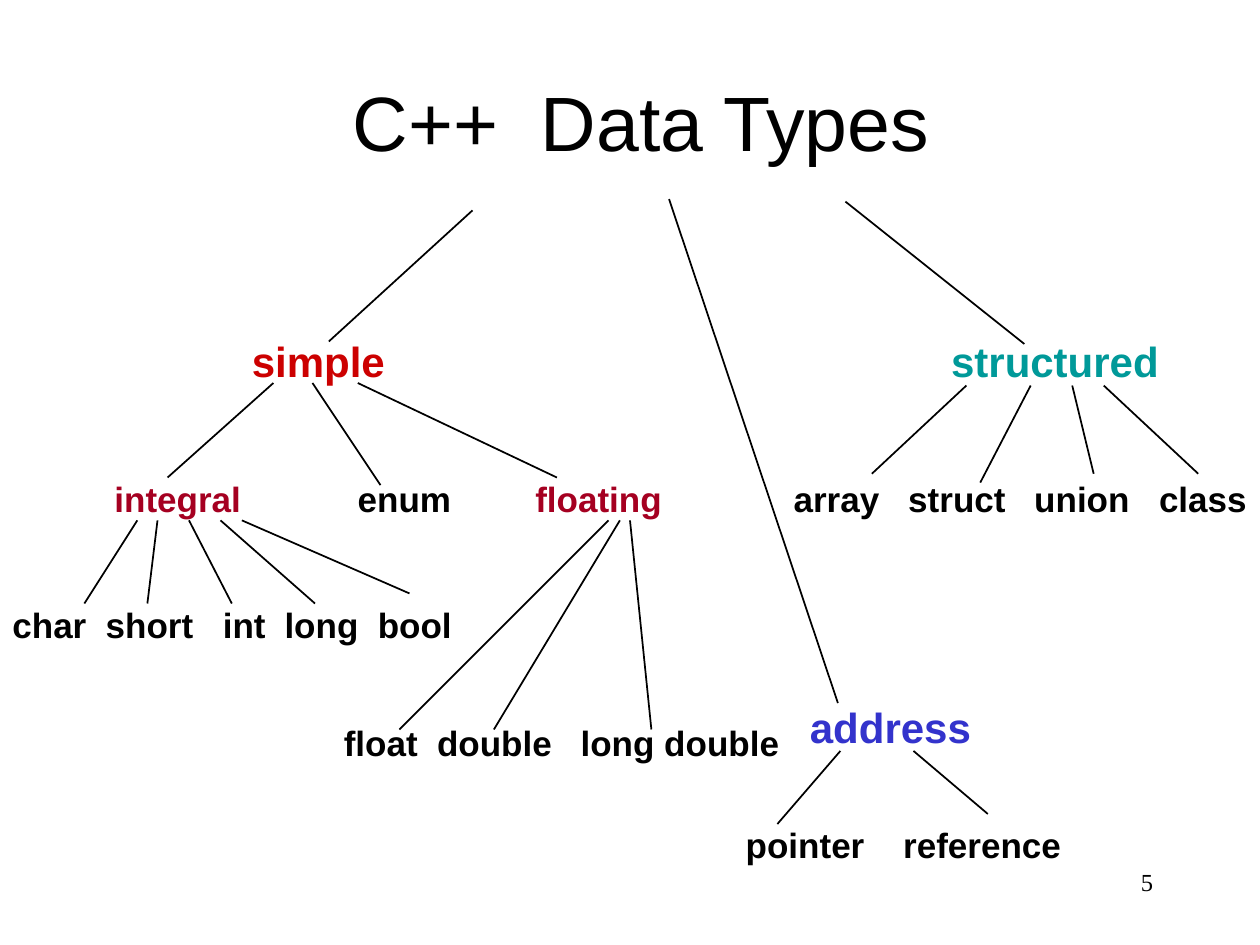
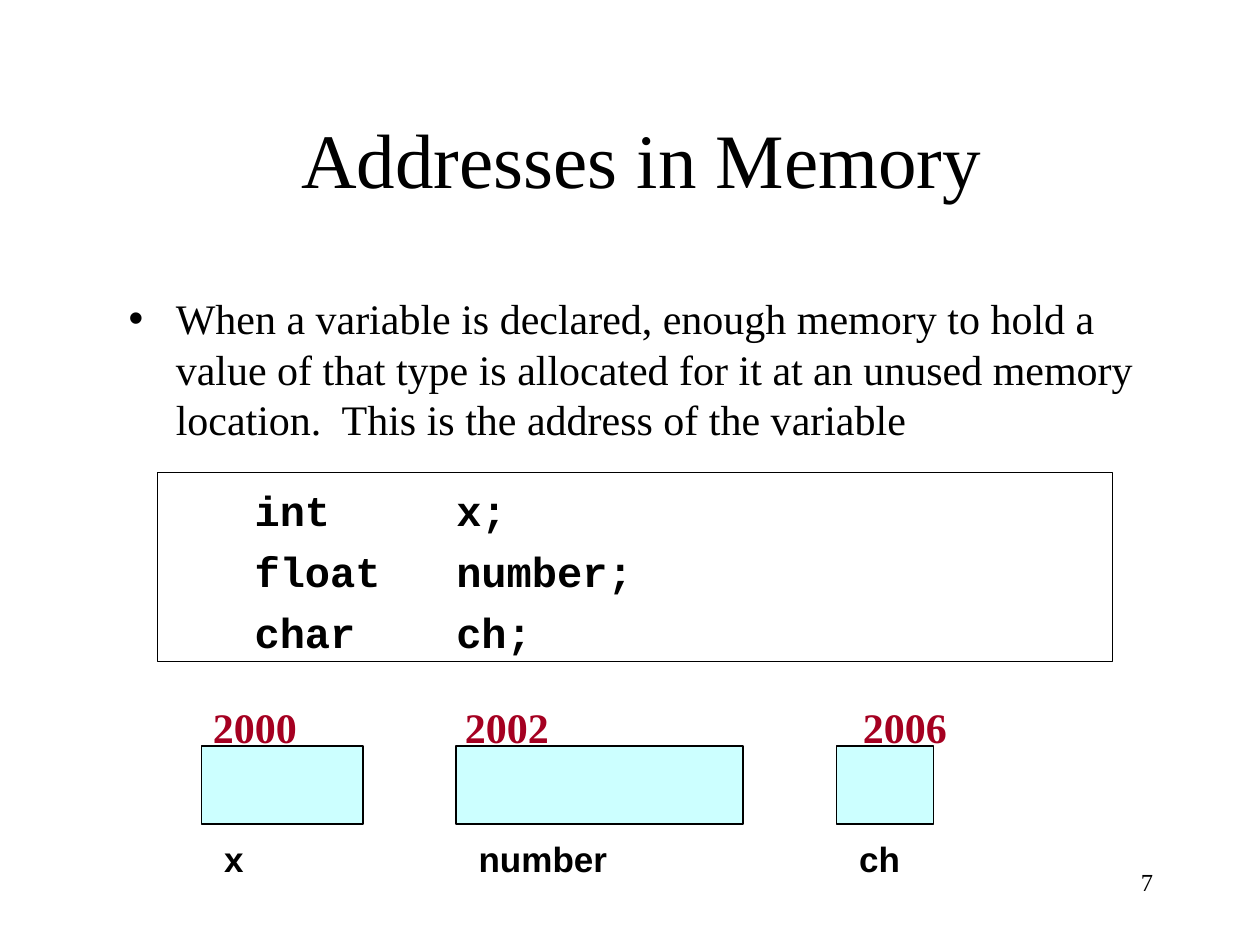
from lxml.etree import SubElement
from pptx import Presentation
from pptx.dml.color import RGBColor
from pptx.enum.shapes import MSO_CONNECTOR, MSO_SHAPE
from pptx.enum.text import MSO_ANCHOR, MSO_AUTO_SIZE, PP_ALIGN
from pptx.oxml.ns import qn
from pptx.util import Inches, Pt

HUES = {"ink": "000000", "paper": "FFFFFF", "red": "CC0000", "teal": "009999",
        "blue": "3333CC", "wine": "A50021", "cell": "CCFFFF"}
SANS, SERIF, MONO = "Arial", "Times New Roman", "Courier New"

HEADS = [("simple", 1.9, 2.61, "red"), ("structured", 7.45, 2.61, "teal"),
         ("address", 6.33, 5.52, "blue")]
ROWS = [
    (3.74, "wine", [("integral", 0.81), ("floating", 4.15)]),
    (3.74, "ink", [("enum", 2.74), ("array", 6.2), ("struct", 7.11),
                   ("union", 8.11), ("class", 9.1)]),
    (4.74, "ink", [("char", 0), ("short", 0.74), ("int", 1.67),
                   ("long", 2.16), ("bool", 2.9)]),
    (5.68, "ink", [("float", 2.63), ("double", 3.37), ("long double", 4.51)]),
    (6.49, "ink", [("pointer", 5.82), ("reference", 7.07)]),
]
EDGES = {
    "types": [(3.75, 1.67, 2.61, 2.71), (5.31, 1.58, 6.65, 5.58),
              (6.71, 1.6, 8.13, 2.73)],
    "simple": [(2.17, 3.04, 1.33, 3.79), (2.48, 3.04, 3.02, 3.85),
               (2.84, 3.04, 4.42, 3.79)],
    "structured": [(7.67, 3.06, 6.92, 3.76), (8.18, 3.06, 7.78, 3.83),
                   (8.51, 3.06, 8.68, 3.76), (8.76, 3.06, 9.51, 3.76)],
    "integral": [(1.09, 4.13, 0.67, 4.79), (1.25, 4.13, 1.17, 4.79),
                 (1.5, 4.13, 1.84, 4.79), (1.75, 4.13, 2.5, 4.79),
                 (1.92, 4.13, 3.25, 4.71)],
    "floating": [(4.83, 4.13, 3.17, 5.79), (4.92, 4.13, 3.92, 5.79),
                 (5, 4.13, 5.17, 5.79)],
    "address": [(6.67, 5.96, 6.17, 6.54), (7.25, 5.96, 7.84, 6.46)],
}

POINT = ("When a variable is declared, enough memory to hold a value of that "
         "type is allocated for it at an unused memory location.  This is the "
         "address of the variable")
CODE = ["     int     x;", "     float   number;", "     char    ch;"]
SPOTS = [("2000", 1.59), ("2002", 3.59), ("2006", 6.75)]
CELLS = [("x", 1.6, 1.28), ("number", 3.62, 2.28), ("ch", 6.64, 0.77)]


def tint(hue):
    return RGBColor.from_string(HUES[hue])


def style(para, face, size, hue="ink", bold=False):
    for run in para.runs:
        font = run.font
        font.name, font.size, font.bold = face, Pt(size), bold
        font.color.rgb = tint(hue)


def place(shape, left, top, width, height):
    shape.left, shape.top = Inches(left), Inches(top)
    shape.width, shape.height = Inches(width), Inches(height)


def title(slide, text, face, top, anchor):
    shape = slide.shapes.title
    place(shape, 0.84, top, 8.5, 1.25)
    frame = shape.text_frame
    frame.text = text
    frame.auto_size = MSO_AUTO_SIZE.NONE
    frame.vertical_anchor = anchor
    para = frame.paragraphs[0]
    para.alignment = PP_ALIGN.CENTER
    style(para, face, 44)


def label(slide, text, left, top, size=20, hue="ink", face=SANS):
    box = slide.shapes.add_textbox(Inches(left), Inches(top),
                                   Inches(0.25 + len(text) * size / 100),
                                   Inches(size / 48))
    frame = box.text_frame
    frame.text = text
    frame.word_wrap = False
    style(frame.paragraphs[0], face, size, hue, True)


def number(slide, text):
    box = slide.shapes.add_textbox(Inches(7.17), Inches(6.83),
                                   Inches(2.08), Inches(0.5))
    box.text_frame.text = text
    para = box.text_frame.paragraphs[0]
    para.alignment = PP_ALIGN.RIGHT
    style(para, SERIF, 14)


def edge(slide, *ends):
    line = slide.shapes.add_connector(MSO_CONNECTOR.STRAIGHT,
                                      *[Inches(end) for end in ends])
    line.line.color.rgb = tint("ink")
    line.line.width = Pt(1)
    SubElement(line.element.spPr, qn("a:effectLst"))


def panel(slide, left, top, width, height, hue):
    box = slide.shapes.add_shape(MSO_SHAPE.RECTANGLE, Inches(left), Inches(top),
                                 Inches(width), Inches(height))
    box.shadow.inherit = False
    box.fill.solid()
    box.fill.fore_color.rgb = tint(hue)
    box.line.color.rgb = tint("ink")
    box.line.width = Pt(1)
    return box


def code(frame, text, gap):
    para = frame.add_paragraph()
    para.text = text
    props = para._p.get_or_add_pPr()
    props.set("marL", "0")
    props.set("indent", "0")
    SubElement(props, qn("a:buNone"))
    para.space_before = Pt(gap)
    para.line_spacing = Pt(28.9)
    style(para, MONO, 24, bold=True)


def types(deck):
    slide = deck.slides.add_slide(deck.slide_layouts[5])
    title(slide, "C++  Data Types", SANS, 0.33, MSO_ANCHOR.MIDDLE)
    for ends in EDGES.values():
        for end in ends:
            edge(slide, *end)
    for text, left, top, hue in HEADS:
        label(slide, text, left, top, 24, hue)
    for top, hue, words in ROWS:
        for text, left in words:
            label(slide, text, left, top, hue=hue)
    number(slide, "5")


def memory(deck):
    slide = deck.slides.add_slide(deck.slide_layouts[1])
    title(slide, "Addresses in Memory", SERIF, 0.42, MSO_ANCHOR.BOTTOM)
    back = panel(slide, 1.25, 3.75, 7.58, 1.5, "paper")
    slide.shapes.element.insert(2, back.element)

    body = slide.placeholders[1]
    place(body, 0.92, 2.27, 8.67, 3)
    frame = body.text_frame
    frame.auto_size = MSO_AUTO_SIZE.NONE
    frame.text = POINT
    point = frame.paragraphs[0]
    point.space_before = Pt(0)
    point.line_spacing = Pt(28.9)
    style(point, SERIF, 24)
    for row, text in enumerate(CODE):
        code(frame, text, 6 if row else 23)

    for name, left, width in CELLS:
        panel(slide, left, 5.92, width, 0.62, "cell")
        label(slide, name, left + 0.08, 6.6)
    for spot, left in SPOTS:
        label(slide, spot, left, 5.52, 24, "wine", SERIF)
    number(slide, "7")


def main():
    deck = Presentation()
    deck.slide_width, deck.slide_height = Inches(10), Inches(7.5)
    types(deck)
    memory(deck)
    deck.save("out.pptx")


if __name__ == "__main__":
    main()
